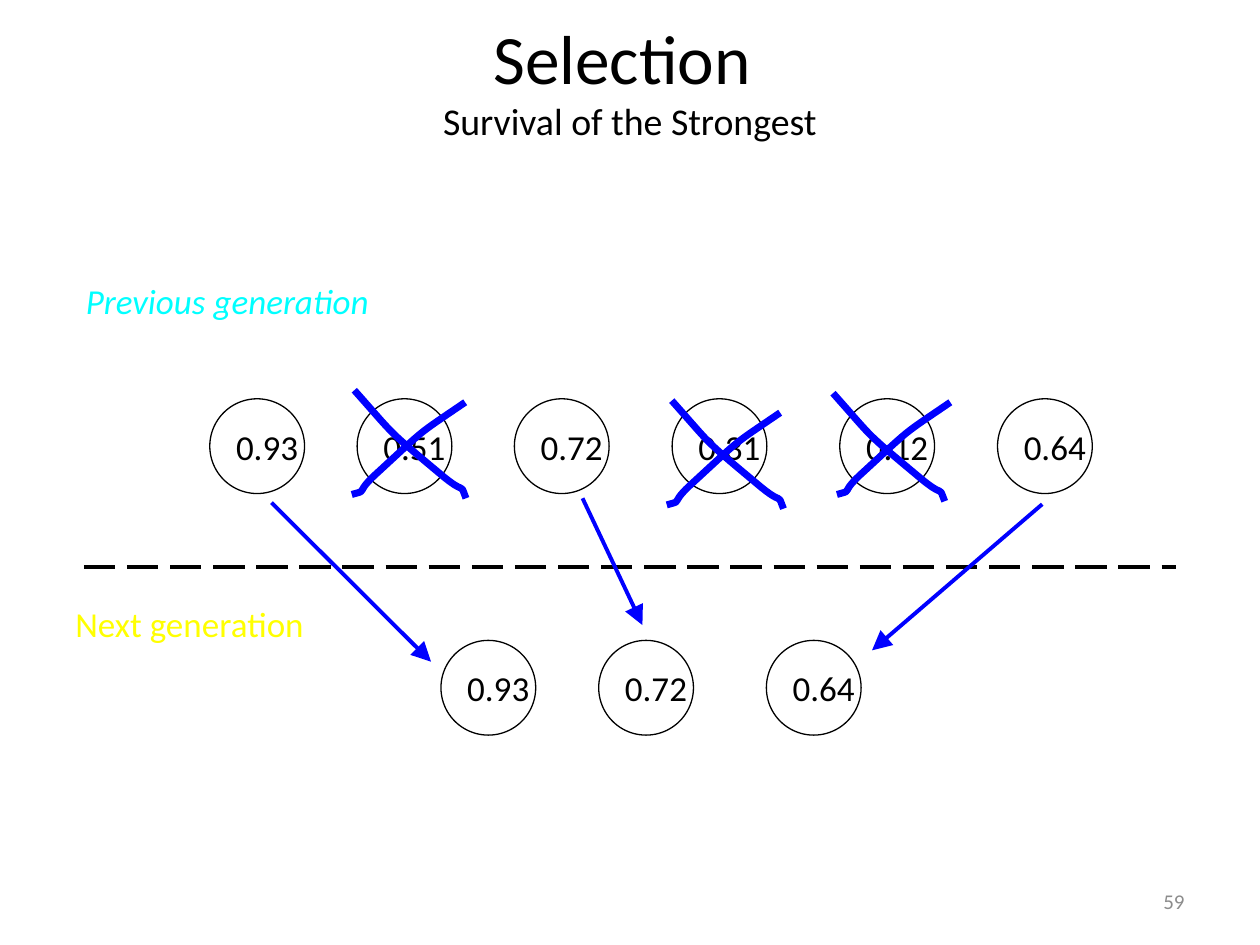
from dataclasses import dataclass

from lxml.etree import SubElement
from pptx import Presentation
from pptx.dml.color import RGBColor
from pptx.enum.dml import MSO_LINE
from pptx.enum.shapes import MSO_CONNECTOR, MSO_SHAPE
from pptx.enum.text import MSO_ANCHOR, MSO_AUTO_SIZE, PP_ALIGN
from pptx.oxml.ns import qn
from pptx.util import Cm, Pt


@dataclass(frozen=True)
class Theme:
    font: str = "Calibri"
    ink: str = "000000"
    blue: str = "0000FF"
    cyan: str = "00FFFF"
    yellow: str = "FFFF00"
    gray: str = "8C8C8C"
    title: float = 39.6
    subtitle: float = 21.6
    label: float = 20
    number: float = 12
    thin: float = 0.75
    medium: float = 2.25
    thick: float = 4


THEME = Theme()
DIAMETER = 1.91
PREVIOUS_TOP = 8.04
NEXT_TOP = 12.91

PREVIOUS = [("0.93", 4.23), ("0.51", 7.2), ("0.72", 10.37),
            ("0.31", 13.55), ("0.12", 16.93), ("0.64", 20.11)]
NEXT = [("0.93", 8.89), ("0.72", 12.07), ("0.64", 15.45)]
ARROWS = [((5.5, 10.16), (8.69, 13.34)),
          ((11.76, 10.08), (12.95, 12.6)),
          ((20.98, 10.19), (17.58, 13.11))]

FALLING = [(0.81, 0.91), (0.58, 0.71), (1.68, 1.63),
           (2.21, 2.08), (2.08, 1.8), (2.18, 2.06)]
RISING = [(-0.94, 0.64), (-0.71, 0.46), (-1.7, 1.37),
          (-2.18, 1.8), (-1.9, 1.73), (-2.16, 1.8)]
CROSSES = [((13.59, 8.13), (15.67, 8.36)),
           ((7.19, 7.92), (9.32, 8.15)),
           ((16.84, 7.98), (19.1, 8.15))]


def apply(target, values):
    for name, value in values.items():
        setattr(target, name, value)


def format_font(font, size, color, italic=False):
    apply(font, {"name": THEME.font, "size": Pt(size), "italic": italic})
    font.color.rgb = RGBColor.from_string(color)


def format_line(line, color, width, cap="flat"):
    line.color.rgb = RGBColor.from_string(color)
    line.width = Pt(width)
    line._get_or_add_ln().set("cap", cap)


def add_title(page, lines):
    box = page.shapes.title
    apply(box, {"left": Cm(1.27), "top": Cm(0.76),
                "width": Cm(22.86), "height": Cm(3.18)})
    apply(box.text_frame, {"auto_size": MSO_AUTO_SIZE.NONE, "word_wrap": True,
                           "vertical_anchor": MSO_ANCHOR.MIDDLE,
                           "margin_bottom": Cm(1.63)})
    para = box.text_frame.paragraphs[0]
    para.alignment = PP_ALIGN.CENTER
    for index, (text, size) in enumerate(lines):
        if index:
            para.add_line_break()
        span = para.add_run()
        span.text = text
        format_font(span.font, size, THEME.ink)


def write(box, text, size, color, italic=False, align=PP_ALIGN.LEFT, **frame_values):
    frame = box.text_frame
    apply(frame, {"word_wrap": False, **frame_values})
    para = frame.paragraphs[0]
    para.alignment = align
    span = para.add_run()
    span.text = text
    format_font(span.font, size, color, italic)


def add_label(page, place, text, size, color, **values):
    box = page.shapes.add_textbox(*map(Cm, place))
    write(box, text, size, color, **values)


def add_individual(page, left, top, fitness):
    circle = page.shapes.add_shape(MSO_SHAPE.OVAL, Cm(left), Cm(top),
                                   Cm(DIAMETER), Cm(DIAMETER))
    circle.shadow.inherit = False
    circle.fill.background()
    format_line(circle.line, THEME.ink, THEME.thin)
    write(circle, fitness, THEME.label, THEME.ink,
          vertical_anchor=MSO_ANCHOR.MIDDLE)


def add_line(page, start, end, color, dash=None, arrow=False):
    line = page.shapes.add_connector(MSO_CONNECTOR.STRAIGHT,
                                     *map(Cm, start + end))
    format_line(line.line, color, THEME.medium, "sq" if arrow else "flat")
    if dash:
        line.line.dash_style = dash
    if arrow:
        SubElement(line.line._get_or_add_ln(), qn("a:tailEnd"),
                   type="triangle", w="lg", len="lg")
    SubElement(line._element.spPr, qn("a:effectLst"))


def bend_segments(shape):
    segments = list(shape._element.iter(qn("a:lnTo")))
    outline = segments[0].getparent()
    for first in range(0, len(segments), 3):
        curve = SubElement(outline, qn("a:cubicBezTo"))
        for segment in segments[first:first + 3]:
            curve.append(segment[0])
            outline.remove(segment)


def add_stroke(page, start, controls):
    x, y = start
    builder = page.shapes.build_freeform(Cm(x), Cm(y))
    builder.add_line_segments([(Cm(x + dx), Cm(y + dy)) for dx, dy in controls],
                              close=False)
    stroke = builder.convert_to_shape()
    bend_segments(stroke)
    stroke.shadow.inherit = False
    stroke.fill.background()
    format_line(stroke.line, THEME.blue, THEME.thick, "sq")


def main():
    deck = Presentation()
    apply(deck, {"slide_width": Cm(25.4), "slide_height": Cm(19.05)})
    page = deck.slides.add_slide(deck.slide_layouts[5])

    add_title(page, [("Selection ", THEME.title),
                     ("Survival of the Strongest", THEME.subtitle)])
    add_line(page, (1.69, 11.43), (23.71, 11.43), THEME.ink,
             dash=MSO_LINE.LONG_DASH)
    for row, top in ((PREVIOUS, PREVIOUS_TOP), (NEXT, NEXT_TOP)):
        for fitness, left in row:
            add_individual(page, left, top, fitness)

    fit = MSO_AUTO_SIZE.SHAPE_TO_FIT_TEXT
    add_label(page, (1.48, 5.51, 7.29, 1.09), "Previous generation",
              THEME.label, THEME.cyan, italic=True, auto_size=fit)
    add_label(page, (1.27, 12.03, 5.84, 1.09), "Next generation",
              THEME.label, THEME.yellow, auto_size=fit)

    for start, end in ARROWS:
        add_line(page, start, end, THEME.blue, arrow=True)
    for falling, rising in CROSSES:
        add_stroke(page, rising, RISING)
        add_stroke(page, falling, FALLING)

    add_label(page, (18.21, 17.65, 5.92, 1.02), "59", THEME.number, THEME.gray,
              align=PP_ALIGN.RIGHT, word_wrap=True,
              vertical_anchor=MSO_ANCHOR.MIDDLE)
    deck.save("out.pptx")


if __name__ == "__main__":
    main()
